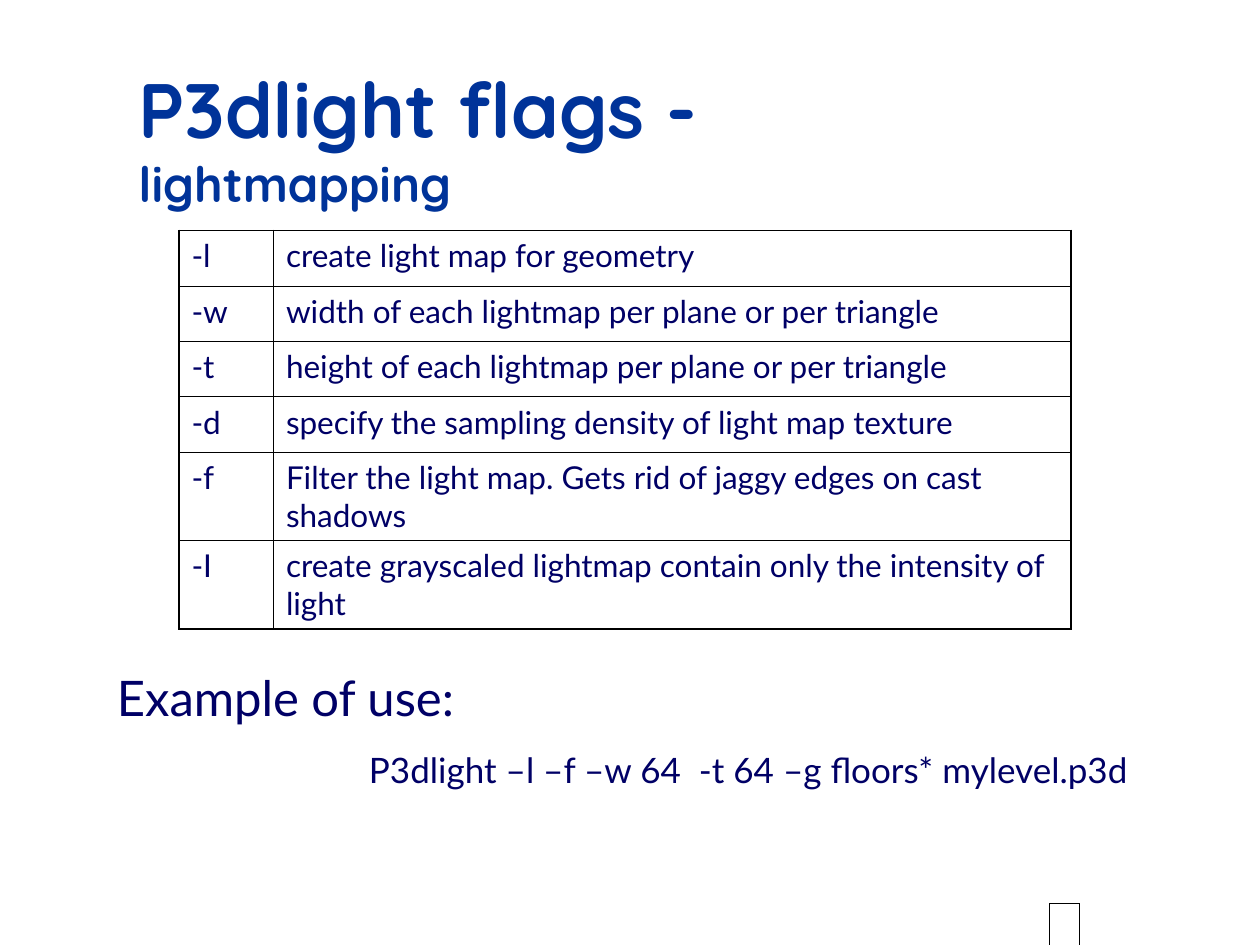
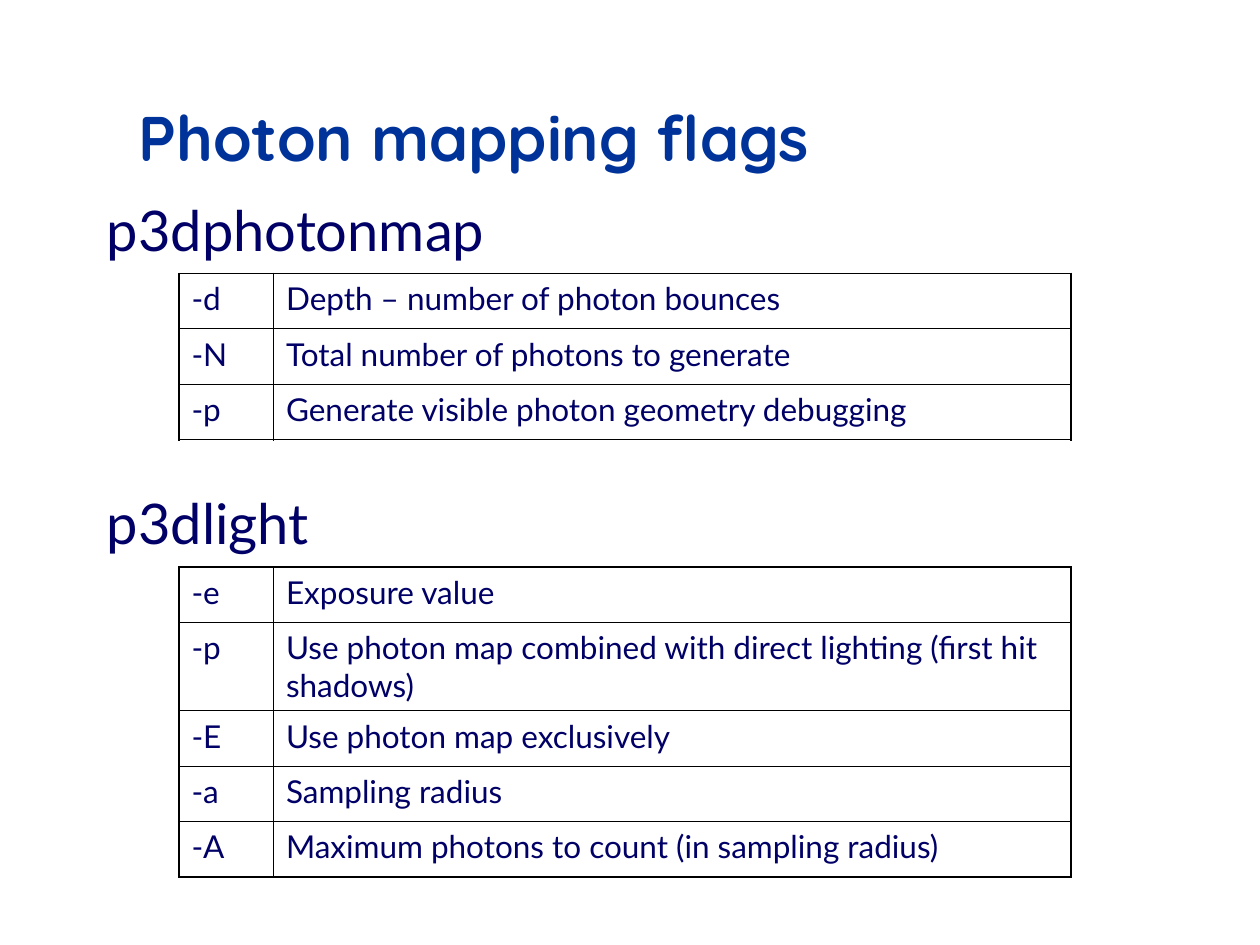
import pptx
import pptx.dml.color
import pptx.enum.text
import pptx.util
from pptx.oxml.ns import qn
from lxml import etree

Inches = pptx.util.Inches
Pt = pptx.util.Pt


def paint(code):
    return pptx.dml.color.RGBColor.from_string(code)


class Deck:
    title_font = {"name": "Quicksand", "bold": True}
    text_font = {"name": "Lato", "bold": False}
    title_ink = "003399"
    text_ink = "000066"
    rule_ink = "000000"
    thin, thick = 0.45, 1.08
    short, tall, wrap = 0.44, 0.7, 55
    flag_cols = (0.75, 6.33)

    def __init__(self):
        self.show = pptx.Presentation()
        self.show.slide_width = Inches(10)
        self.show.slide_height = Inches(7.5)
        self.slide = None

    def page(self):
        self.slide = self.show.slides.add_slide(self.show.slide_layouts[6])

    def style(self, run, look, ink, size):
        for key, value in {**look, "size": Pt(size)}.items():
            setattr(run.font, key, value)
        run.font.color.rgb = paint(ink)

    def frame(self, left, top, width, height):
        box = self.slide.shapes.add_textbox(
            Inches(left), Inches(top), Inches(width), Inches(height))
        box.text_frame.word_wrap = True
        return box.text_frame

    def title(self, *lines):
        frame = self.frame(1, 0.67, 7.25, 0.83)
        frame.vertical_anchor = pptx.enum.text.MSO_ANCHOR.MIDDLE
        para = frame.paragraphs[0]
        for num, (text, size) in enumerate(lines):
            if num:
                para.add_line_break()
            run = para.add_run()
            run.text = text
            self.style(run, self.title_font, self.title_ink, size)

    def label(self, para, text, size, before, indent=0):
        para.space_before = Pt(before)
        if indent:
            para._p.get_or_add_pPr().set("marL", str(Inches(indent)))
        run = para.add_run()
        run.text = text
        self.style(run, self.text_font, self.text_ink, size)

    def head(self, text, top):
        frame = self.frame(0.75, top, 8.25, 0.67)
        self.label(frame.paragraphs[0], text, 32, 8)

    def sample(self, intro, code):
        frame = self.frame(0.83, 5.25, 8.25, 1.92)
        self.label(frame.paragraphs[0], intro, 28, 17.5)
        self.label(frame.add_paragraph(), code, 20, 12.5, 2)

    def border(self, cell, widths):
        props = cell._tc.get_or_add_tcPr()
        for side, width in zip("LRTB", widths):
            line = etree.SubElement(
                props, qn("a:ln" + side), w=str(Pt(width)))
            fill = etree.SubElement(line, qn("a:solidFill"))
            etree.SubElement(fill, qn("a:srgbClr"), val=self.rule_ink)

    def grid(self, left, top, cols, rows):
        table = self.slide.shapes.add_table(
            len(rows), len(cols), Inches(left), Inches(top),
            Inches(sum(cols)), Inches(sum(rows))).table
        table.first_row = table.horz_banding = False
        for col, width in zip(table.columns, cols):
            col.width = Inches(width)
        for row, height in zip(table.rows, rows):
            row.height = Inches(height)
        return table

    def flags(self, top, items):
        rows = [self.tall if len(text) > self.wrap else self.short
                for flag, text in items]
        table = self.grid(1.42, top, self.flag_cols, rows)
        last = len(items) - 1
        for y, item in enumerate(items):
            for x, text in enumerate(item):
                cell = table.cell(y, x)
                edges = (x == 0, x == 1, y == 0, y == last)
                self.border(cell, [self.thick if edge else self.thin
                                   for edge in edges])
                cell.fill.background()
                self.label(cell.text_frame.paragraphs[0], text, 18, 4.5)

    def blank(self, left, top, width, height):
        cell = self.grid(left, top, [width], [height]).cell(0, 0)
        self.border(cell, [self.thin] * 4)
        cell.fill.background()


def main():
    deck = Deck()

    deck.page()
    deck.title(("P3dlight flags -", 44), ("lightmapping", 28))
    deck.flags(1.83, [
        ("-l", "create light map for geometry"),
        ("-w", "width of each lightmap per plane or per triangle"),
        ("-t", "height of each lightmap per plane or per triangle"),
        ("-d", "specify the sampling density of light map texture"),
        ("-f", "Filter the light map. Gets rid of jaggy edges on cast shadows"),
        ("-I", "create grayscaled lightmap contain only the intensity of light"),
    ])
    deck.blank(8.33, 7.17, 0.24, 0.57)
    deck.sample("Example of use:",
                "P3dlight –l –f –w 64  -t 64 –g floors* mylevel.p3d")

    deck.page()
    deck.title(("Photon mapping flags", 36))
    deck.head("p3dphotonmap", 1.5)
    deck.flags(2.17, [
        ("-d", "Depth – number of photon bounces"),
        ("-N", "Total number of photons to generate"),
        ("-p", "Generate visible photon geometry debugging"),
    ])
    deck.head("p3dlight", 3.83)
    deck.flags(4.5, [
        ("-e", "Exposure value"),
        ("-p", "Use photon map combined with direct lighting (first hit shadows)"),
        ("-E", "Use photon map exclusively"),
        ("-a", "Sampling radius"),
        ("-A", "Maximum photons to count (in sampling radius)"),
    ])

    deck.show.save("out.pptx")


if __name__ == "__main__":
    main()
